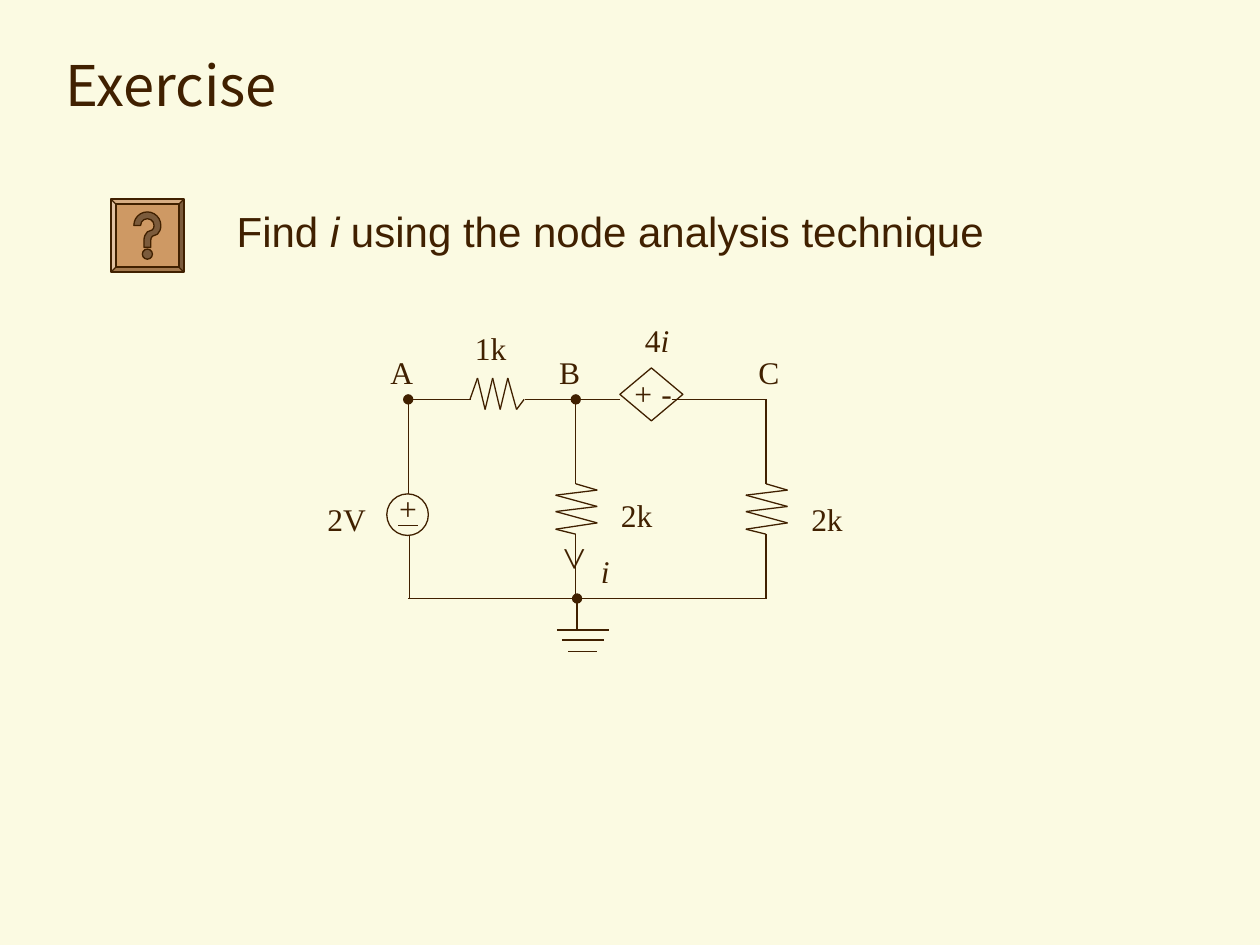
from dataclasses import dataclass
from itertools import pairwise

from pptx import Presentation
from pptx.dml.color import RGBColor
from pptx.enum.shapes import MSO_CONNECTOR, MSO_SHAPE
from pptx.enum.text import MSO_ANCHOR, MSO_AUTO_SIZE, PP_ALIGN
from pptx.oxml.ns import qn
from pptx.util import Inches, Pt
from lxml import etree

STRAIGHT = MSO_CONNECTOR.STRAIGHT
ELLIPSE = MSO_SHAPE.OVAL
DIAMOND = MSO_SHAPE.DIAMOND
BEVEL = MSO_SHAPE.BEVEL
HELP_BUTTON = MSO_SHAPE.ACTION_BUTTON_HELP
FIT_SHAPE = MSO_AUTO_SIZE.SHAPE_TO_FIT_TEXT
MIDDLE = MSO_ANCHOR.MIDDLE
LEFT = PP_ALIGN.LEFT

COLORS = {"ink": "402000", "paper": "FBFAE2", "button": "CE9964"}
TITLE_FONT, BODY_FONT, LABEL_FONT = "Noto Sans CJK KR", "Arial", "Times New Roman"
LINE_WIDTH = Pt(0.75)

Point = tuple[float, float]


@dataclass
class Label:
    """Text at a place; the run equal to 'i' is set in italics."""
    runs: list[str]
    left: float
    top: float
    width: float
    height: float = 0.4
    size: int = 18
    font: str = LABEL_FONT
    wrap: bool = False
    rotation: int = 0
    italic: bool = False


@dataclass
class Wire:
    start: Point
    end: Point
    node: bool = False  # a dot at the start


TOP, BOTTOM = 3.17, 4.75
A_X, B_X, C_X = 3.24, 4.57, 6.08

WIRES = [
    Wire((A_X, 3.92), (A_X, TOP)),
    Wire((A_X, TOP), (3.74, TOP), node=True),
    Wire((4.17, TOP), (4.58, TOP)),
    Wire((B_X, TOP), (B_X, 3.42), node=True),
    Wire((B_X, 3.42), (B_X, 3.83)),
    Wire((3.16, 4.17), (3.32, 4.17)),
    Wire((B_X, TOP), (4.92, TOP)),
    Wire((5.33, TOP), (5.74, TOP)),
    Wire((5.67, TOP), (C_X, TOP)),
    Wire((3.25, BOTTOM), (3.25, 4.25)),
    Wire((A_X, BOTTOM), (B_X, BOTTOM)),
    Wire((B_X, 4.33), (B_X, BOTTOM)),
    Wire((4.58, BOTTOM), (C_X, BOTTOM)),
    Wire((4.58, BOTTOM), (4.58, 5), node=True),
    Wire((C_X, TOP), (C_X, 3.42)),
    Wire((C_X, 3.42), (C_X, 3.83)),
    Wire((C_X, 4.33), (C_X, BOTTOM)),
]

SERIES_RESISTOR = [(3.73, TOP), (3.79, 3), (3.85, 3.25), (3.91, 3), (3.97, 3.25),
                   (4.03, 3), (4.1, 3.25), (4.16, TOP)]
# Offset from the branch and height of each corner
BRANCH_RESISTOR = [(0, 3.67), (0, 3.84), (0.17, 3.89), (-0.16, 3.93), (0.17, 4.02),
                   (-0.16, 4.06), (0.17, 4.15), (-0.16, 4.2), (0, 4.24), (0, 4.42)]
GROUND = [((4.42, 5), (4.83, 5)), ((4.46, 5.08), (4.79, 5.08)), ((4.51, 5.17), (4.74, 5.17))]

LABELS = [
    Label(["+ -"], 4.92, 2.92, 0.57, italic=True),
    Label(["+"], 3.07, 3.83, 0.33, wrap=True),
    Label(["1k"], 3.67, 2.56, 0.45),
    Label(["A"], 3, 2.75, 0.38),
    Label(["B"], 4.34, 2.75, 0.36),
    Label(["C"], 5.92, 2.75, 0.36),
    Label(["4", "i"], 5.02, 2.5, 0.45),
    Label(["2k"], 4.83, 3.89, 0.45),
    Label(["i"], 4.67, 4.33, 0.27),
    Label(["2V"], 2.5, 3.92, 0.56),
    Label(["2k"], 6.34, 3.92, 0.45),
    Label([">"], 4.37, 4.21, 0.42, 0.5, size=24, wrap=True, rotation=90),
    Label(["Find ", "i", " using the node analysis technique"],
          1.78, 1.58, 6.31, 0.5, size=24, font=BODY_FONT),
]


def rgb(name: str) -> RGBColor:
    return RGBColor.from_string(COLORS[name])


def style_run(r, font: str, size: int, italic: bool = False) -> None:
    r.font.name = font
    r.font.size = Pt(size)
    r.font.italic = italic
    r.font.color.rgb = rgb("ink")


def add_wire(shapes, wire: Wire) -> None:
    points = [Inches(v) for v in (*wire.start, *wire.end)]
    line = shapes.add_connector(STRAIGHT, *points)
    line.line.color.rgb = rgb("ink")
    line.line.width = LINE_WIDTH
    sp_pr = line._element.spPr
    if wire.node:
        etree.SubElement(sp_pr.find(qn("a:ln")), qn("a:headEnd"), type="oval")
    etree.SubElement(sp_pr, qn("a:effectLst"))


def add_symbol(s, segments) -> None:
    """Group the strokes of one circuit symbol."""
    group = s.shapes.add_group_shape()
    for start, end in segments:
        add_wire(group.shapes, Wire(start, end))


def add_outline(s, kind, left: float, top: float, width: float, height: float,
                fill: str | None = None):
    sp = s.shapes.add_shape(kind, Inches(left), Inches(top), Inches(width), Inches(height))
    sp.shadow.inherit = False
    sp.line.color.rgb = rgb("ink")
    sp.line.width = LINE_WIDTH
    if fill:
        sp.fill.solid()
        sp.fill.fore_color.rgb = rgb(fill)
    else:
        sp.fill.background()
    return sp


def add_help_button(s, left: float, top: float, size: float, rim: float) -> None:
    frame = add_outline(s, BEVEL, left, top, size, size, fill="button")
    frame.adjustments[0] = rim / size
    face = size - 2 * rim
    add_outline(s, HELP_BUTTON, left + rim, top + rim, face, face, fill="button")


def add_label(s, label: Label) -> None:
    sp = s.shapes.add_textbox(Inches(label.left), Inches(label.top),
                              Inches(label.width), Inches(label.height))
    sp.rotation = label.rotation
    tf = sp.text_frame
    tf.word_wrap = label.wrap
    tf.auto_size = FIT_SHAPE
    p = tf.paragraphs[0]
    p.alignment = LEFT
    for text in label.runs:
        r = p.add_run()
        r.text = text
        style_run(r, label.font, label.size, label.italic or text == "i")


def add_title(s, text: str) -> None:
    title = s.shapes.title
    title.left, title.top = Inches(0.42), Inches(0.25)
    title.width, title.height = Inches(9.17), Inches(0.83)
    tf = title.text_frame
    tf.text = text
    tf.vertical_anchor = MIDDLE
    p = tf.paragraphs[0]
    p.alignment = LEFT
    style_run(p.runs[0], TITLE_FONT, 32)


def main() -> None:
    prs = Presentation()
    prs.slide_width, prs.slide_height = Inches(10), Inches(7.5)
    s = prs.slides.add_slide(prs.slide_layouts[5])
    s.background.fill.solid()
    s.background.fill.fore_color.rgb = rgb("paper")

    add_title(s, "Exercise")
    for wire in WIRES:
        add_wire(s.shapes, wire)
    add_symbol(s, pairwise(SERIES_RESISTOR))
    for x in (B_X, C_X):
        add_symbol(s, pairwise([(x + dx, y) for dx, y in BRANCH_RESISTOR]))
    add_symbol(s, GROUND)
    add_outline(s, ELLIPSE, 3.07, 3.92, 0.33, 0.33)
    add_outline(s, DIAMOND, 4.92, 2.92, 0.5, 0.42)
    add_help_button(s, 0.88, 1.58, 0.58, rim=0.04)
    for label in LABELS:
        add_label(s, label)
    prs.save("out.pptx")


if __name__ == "__main__":
    main()
